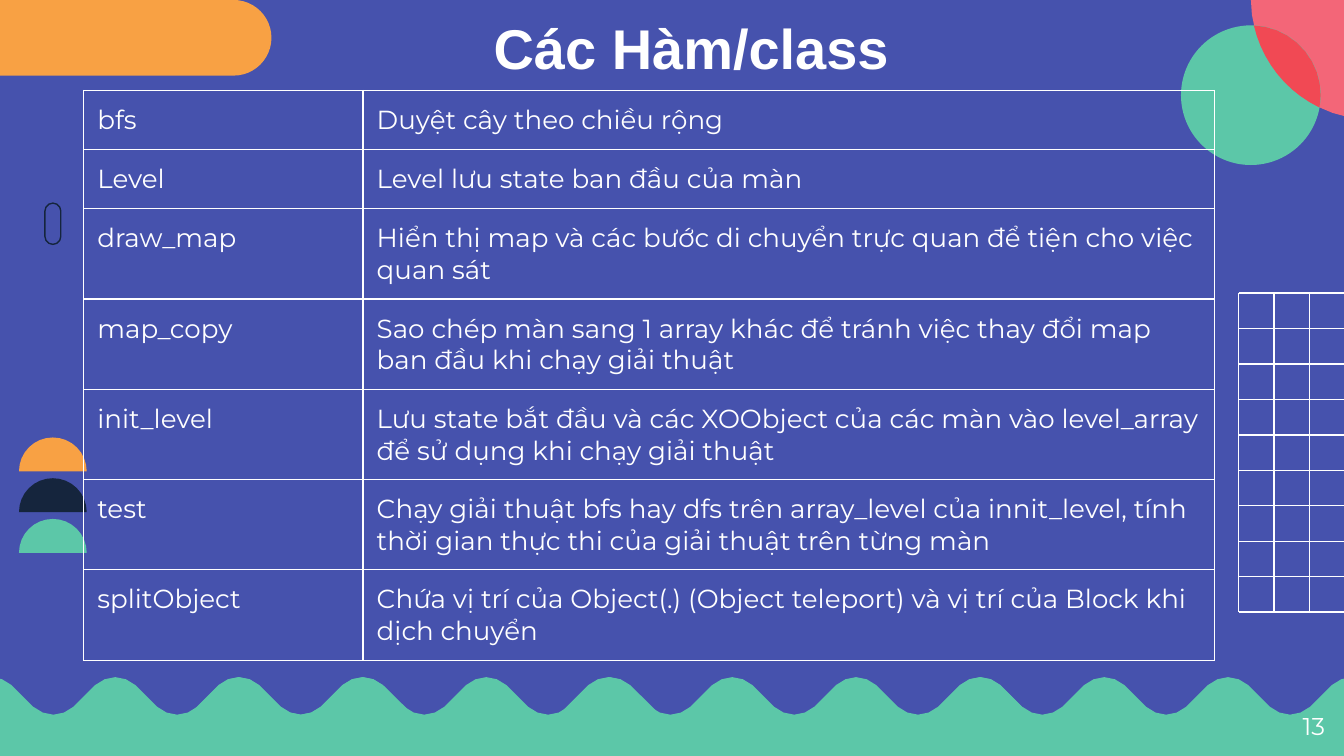
"""Build the slide that lists the functions and classes of the game solver."""
from math import cos, radians, sin

from lxml.etree import SubElement
from pptx import Presentation
from pptx.dml.color import RGBColor
from pptx.enum.shapes import MSO_CONNECTOR, MSO_SHAPE
from pptx.enum.text import MSO_ANCHOR, PP_ALIGN
from pptx.oxml.ns import qn
from pptx.util import Cm, Pt

INDIGO = RGBColor(0x46, 0x52, 0xAD)
WHITE = RGBColor(0xFF, 0xFF, 0xFF)
MINT = RGBColor(0x5C, 0xC7, 0xA8)
ORANGE = RGBColor(0xF8, 0xA1, 0x44)
NAVY = RGBColor(0x15, 0x25, 0x3D)
PINK = RGBColor(0xF3, 0x66, 0x78)
RED = RGBColor(0xF1, 0x49, 0x54)

LABEL_INSET = Cm(0.25)
CELL_INSET = Cm(0.26)
MARGINS = ("margin_left", "margin_right", "margin_top", "margin_bottom")
RULE = Pt(0.75)
TITLE_FONT = {"name": "Arial", "size": Pt(30), "bold": True}
CELL_FONT = {"name": "Montserrat", "size": Pt(14), "bold": False}
NUMBER_FONT = {"name": "Montserrat", "size": Pt(13), "bold": False}

FUNCTIONS = [
    ("bfs", "Duyệt cây theo chiều rộng"),
    ("Level", "Level lưu state ban đầu của màn"),
    ("draw_map", "Hiển thị map và các bước di chuyển trực quan để tiện cho việc quan sát"),
    ("map_copy", "Sao chép màn sang 1 array khác để tránh việc thay đổi map ban đầu "
                 "khi chạy giải thuật"),
    ("init_level", "Lưu state bắt đầu và các XOObject của các màn vào level_array "
                   "để sử dụng khi chạy giải thuật"),
    ("test", "Chạy giải thuật bfs hay dfs trên array_level của innit_level, "
             "tính thời gian thực thi của giải thuật trên từng màn"),
    ("splitObject", "Chứa vị trí của Object(.) (Object teleport) và vị trí của Block "
                    "khi dịch chuyển"),
]
COLUMN_WIDTHS = [5.28, 8.56, 7.54]
ROW_HEIGHTS = [1.12, 1.04, 0.91, 0.99, 0.94, 0.94, 0.94]


def write(frame, text, font_values, align=PP_ALIGN.LEFT):
    """Put one formatted white run into a text frame."""
    paragraph = frame.paragraphs[0]
    paragraph.alignment = align
    run = paragraph.add_run()
    run.text = text
    for attribute, value in font_values.items():
        setattr(run.font, attribute, value)
    run.font.color.rgb = WHITE


def add_label(slide, box, text, font_values, align, anchor=MSO_ANCHOR.TOP):
    """Add a wrapped text box."""
    frame = slide.shapes.add_textbox(*map(Cm, box)).text_frame
    layout = {"word_wrap": True, "vertical_anchor": anchor,
              **dict.fromkeys(MARGINS, LABEL_INSET)}
    for attribute, value in layout.items():
        setattr(frame, attribute, value)
    write(frame, text, font_values, align)


def paint(shape, color):
    """Fill a shape flat, with neither outline nor shadow."""
    shape.shadow.inherit = False
    shape.fill.solid()
    shape.fill.fore_color.rgb = color
    shape.line.fill.background()


def add_preset(slide, kind, box, color):
    """Add a flat preset shape."""
    shape = slide.shapes.add_shape(kind, *map(Cm, box))
    paint(shape, color)
    return shape


def add_outline(slide, points, color):
    """Add a flat closed shape through points given in centimetres."""
    start, *rest = [(Cm(x), Cm(y)) for x, y in points]
    builder = slide.shapes.build_freeform(*start)
    builder.add_line_segments(rest, close=True)
    paint(builder.convert_to_shape(), color)


def arc(center_x, center_y, radius, start, end, steps=10):
    """Return points along a circular arc, in degrees clockwise from the right."""
    angles = [radians(start + (end - start) * i / steps) for i in range(steps + 1)]
    return [(center_x + radius * cos(a), center_y + radius * sin(a)) for a in angles]


def add_rule(slide, x1, y1, x2, y2):
    """Add a thin white line."""
    rule = slide.shapes.add_connector(MSO_CONNECTOR.STRAIGHT, *map(Cm, (x1, y1, x2, y2)))
    rule.line.color.rgb = WHITE
    rule.line.width = RULE
    SubElement(rule._element.spPr, qn("a:effectLst"))


def add_grid(slide, left=23.41, top=5.54, right=26.06, gap=0.67):
    """Add the open grid at the right edge."""
    for column in range(3):
        add_rule(slide, left + column * gap, top, left + column * gap, top + 9 * gap)
    for row in range(10):
        add_rule(slide, left, top + row * gap, right, top + row * gap)


def add_wave(slide, left, top=12.8, width=9.37, height=2.67, period=2.34, depth=0.71):
    """Add one four-crest stretch of the wavy footer."""
    bend = [(-0.38, 0.15), (-0.2, 0.04), (0, 0), (0.2, 0.04), (0.38, 0.15)]
    profile = [(0, height), (0, 1.17), (0.15, 0.79)]
    for crest in range(4):
        center = (crest + 0.5) * period
        profile += [(center + x, y) for x, y in bend]
        if crest < 3:
            profile += [(center + period / 2 + x, depth - y) for x, y in bend]
    profile += [(width - 0.15, 0.79), (width, 1.17), (width, height)]
    add_outline(slide, [(left + x, top + y) for x, y in profile], MINT)


def add_circles(slide):
    """Add the two overlapping discs in the top right corner."""
    pink_disc, mint_disc = (25.93, -0.03, 2.29), (23.64, 1.8, 1.32)
    add_outline(slide, [*arc(*pink_disc, 180, 101), (25.5, 0.25), (25.76, -0.03)], PINK)
    add_preset(slide, MSO_SHAPE.OVAL, (22.32, 0.48, 2.64, 2.64), MINT)
    add_outline(slide, arc(*pink_disc, 167, 116) + arc(*mint_disc, 10, -88), RED)


def add_decoration(slide):
    """Add every background ornament."""
    add_grid(slide)
    for left in (10.33, 17.36, 3.34, -1.33):
        add_wave(slide, left)
    pill = add_preset(slide, MSO_SHAPE.ROUNDED_RECTANGLE, (0.85, 3.84, 0.3, 0.78), NAVY)
    pill.adjustments[0] = 0.5
    pill.fill.background()
    pill.line.color.rgb = NAVY
    pill.line.width = RULE
    add_circles(slide)
    for index, color in enumerate((ORANGE, NAVY, MINT)):
        add_outline(slide, arc(1, 8.91 + index * 0.77, 0.64, 180, 360, steps=16), color)
    tab = add_preset(slide, MSO_SHAPE.ROUND_2_SAME_RECTANGLE, (1.85, -1.85, 1.43, 5.13), ORANGE)
    tab.rotation = 90
    tab.adjustments[0] = 0.5


def border_cell(cell):
    """Draw a thin white line on all four sides of a cell."""
    properties = cell._tc.get_or_add_tcPr()
    for position, side in enumerate(("a:lnL", "a:lnR", "a:lnT", "a:lnB")):
        line = properties.makeelement(qn(side), {"w": str(RULE)})
        color = SubElement(SubElement(line, qn("a:solidFill")), qn("a:srgbClr"))
        color.set("val", str(WHITE))
        properties.insert(position, line)


def add_functions_table(slide):
    """Add the table of functions with its wide description column."""
    size = (Cm(sum(COLUMN_WIDTHS)), Cm(sum(ROW_HEIGHTS)))
    table = slide.shapes.add_table(len(FUNCTIONS), len(COLUMN_WIDTHS),
                                   Cm(1.58), Cm(1.71), *size).table
    table.first_row = table.horz_banding = False
    for column, width in zip(table.columns, COLUMN_WIDTHS):
        column.width = Cm(width)
    for row, height in zip(table.rows, ROW_HEIGHTS):
        row.height = Cm(height)
    for cell in table.iter_cells():
        for margin in MARGINS:
            setattr(cell, margin, CELL_INSET)
        cell.fill.background()
        border_cell(cell)
    for index, (function, purpose) in enumerate(FUNCTIONS):
        table.cell(index, 1).merge(table.cell(index, 2))
        for column, text in enumerate((function, purpose)):
            write(table.cell(index, column).text_frame, text, CELL_FONT)


def main():
    """Build and save the slide."""
    deck = Presentation()
    deck.slide_width, deck.slide_height = Cm(25.4), Cm(14.29)
    slide = deck.slides.add_slide(deck.slide_layouts[6])
    slide.background.fill.solid()
    slide.background.fill.fore_color.rgb = INDIGO
    add_decoration(slide)
    add_label(slide, (2.36, 0, 21.41, 1.6), "Các Hàm/class", TITLE_FONT, PP_ALIGN.CENTER)
    add_functions_table(slide)
    add_label(slide, (23.77, 13.18, 1.52, 1.09), "13", NUMBER_FONT,
              PP_ALIGN.RIGHT, anchor=MSO_ANCHOR.MIDDLE)
    deck.save("out.pptx")


if __name__ == "__main__":
    main()
